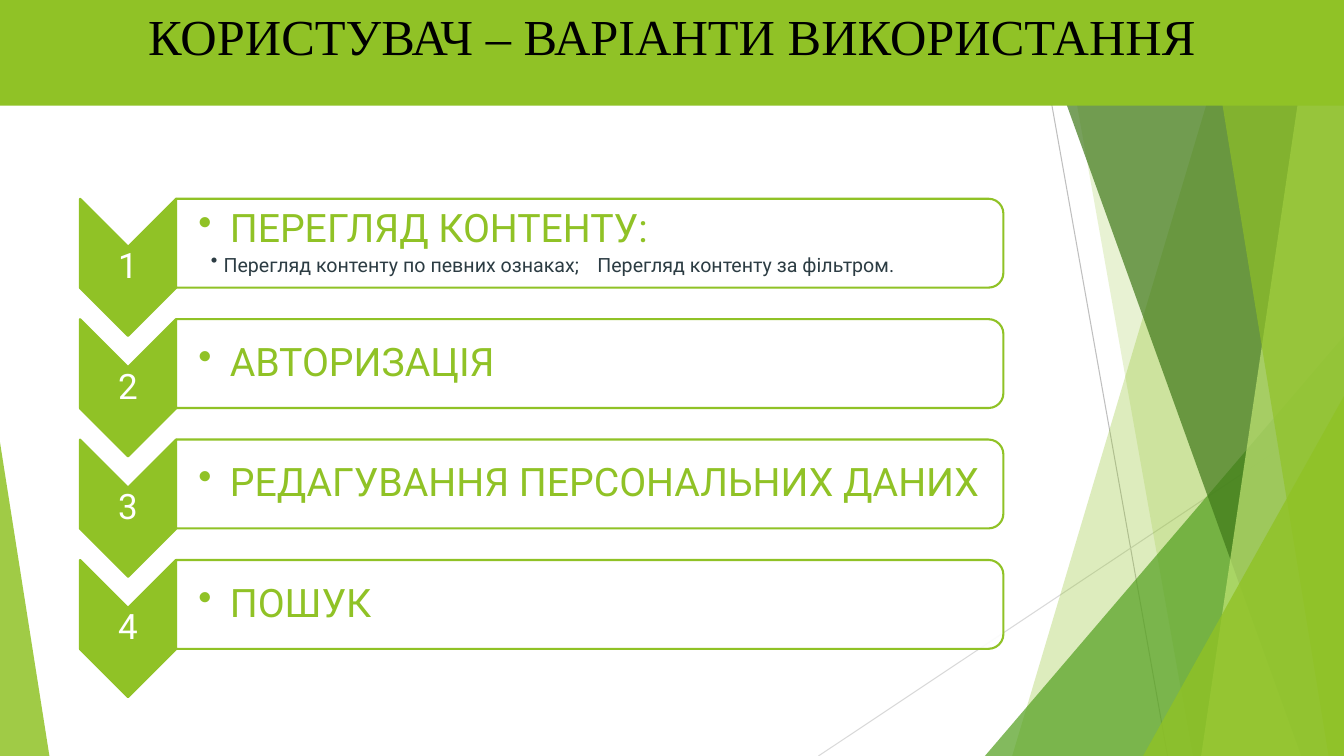
import pptx
import pptx.util
import pptx.dml.color
import pptx.enum.shapes
import pptx.enum.text
import pptx.oxml
import pptx.oxml.ns

Pt = pptx.util.Pt
RGB = pptx.dml.color.RGBColor
SHAPE = pptx.enum.shapes.MSO_SHAPE
ALIGN = pptx.enum.text.PP_ALIGN
ANCHOR = pptx.enum.text.MSO_ANCHOR
qn = pptx.oxml.ns.qn

GREEN = RGB(0x90, 0xC2, 0x26)
LEAF = RGB(0x54, 0xA0, 0x21)
FOREST = RGB(0x3F, 0x78, 0x19)
LIME = RGB(0xC0, 0xE4, 0x74)
SLATE = RGB(0x2C, 0x3C, 0x43)
GREY = RGB(0xBF, 0xBF, 0xBF)
PALE_GREY = RGB(0xD9, 0xD9, 0xD9)
WHITE = RGB(0xFF, 0xFF, 0xFF)
BLACK = RGB(0, 0, 0)

WIDTH, HEIGHT = 960, 540


class Deck:
    """Holds the style and the current slide; all lengths are in points."""
    font = "Roboto"

    def __init__(self):
        self.prs = pptx.Presentation()
        self.prs.slide_width, self.prs.slide_height = Pt(WIDTH), Pt(HEIGHT)
        self.s = self.prs.slides.add_slide(self.prs.slide_layouts[6])

    def paint(self, sp, fill, alpha=100, line=None):
        sp.shadow.inherit = False
        sp.fill.solid()
        sp.fill.fore_color.rgb = fill
        if alpha < 100:
            clr = sp.fill._xPr.find(qn("a:solidFill"))[0]
            clr.makeelement(qn("a:alpha"), {})
            a = pptx.oxml.parse_xml(
                '<a:alpha xmlns:a="http://schemas.openxmlformats.org/drawingml/2006/main"'
                f' val="{alpha * 1000}"/>')
            clr.append(a)
        if line is None:
            sp.line.fill.background()
        else:
            sp.line.color.rgb = line
            sp.line.width = Pt(1.5)
        return sp

    def shape(self, kind, x, y, w, h, fill, alpha=100, line=None, adj=None):
        sp = self.s.shapes.add_shape(kind, Pt(x), Pt(y), Pt(w), Pt(h))
        if adj is not None:
            sp.adjustments[0] = adj
        return self.paint(sp, fill, alpha, line)

    def turned(self, kind, x, y, w, h, fill, alpha=100, line=None):
        """Shape rotated by 90 degrees that covers the box x, y, w, h."""
        d = (w - h) / 2
        sp = self.shape(kind, x + d, y - d, h, w, fill, alpha, line)
        sp.rotation = 90
        return sp

    def polygon(self, points, fill, alpha):
        pts = [(Pt(x), Pt(y)) for x, y in points]
        fb = self.s.shapes.build_freeform(*pts[0])
        fb.add_line_segments(pts[1:], close=True)
        return self.paint(fb.convert_to_shape(), fill, alpha)

    def line(self, x1, y1, x2, y2, color):
        c = self.s.shapes.add_connector(
            pptx.enum.shapes.MSO_CONNECTOR.STRAIGHT, Pt(x1), Pt(y1), Pt(x2), Pt(y2))
        c.line.color.rgb = color
        c.line.width = Pt(0.75)
        pr = c._element.spPr
        pr.append(pr.makeelement(qn("a:effectLst"), {}))

    def text(self, x, y, w, h, left=1.5):
        tf = self.s.shapes.add_textbox(Pt(x), Pt(y), Pt(w), Pt(h)).text_frame
        tf.word_wrap = True
        tf.vertical_anchor = ANCHOR.MIDDLE
        tf.margin_left = Pt(left)
        tf.margin_top = tf.margin_right = tf.margin_bottom = Pt(1.5)
        return tf

    def run(self, p, text, size, color, font=None):
        r = p.add_run()
        r.text = text
        r.font.size, r.font.name = Pt(size), font or self.font
        r.font.color.rgb = color

    def bullet(self, p, margin, hang, tab=None):
        p.line_spacing = 0.9
        pr = p._p.get_or_add_pPr()
        pr.set("marL", str(Pt(margin)))
        pr.set("indent", str(-Pt(hang)))
        pr.append(pr.makeelement(qn("a:buChar"), {"char": "•"}))
        if tab:
            tabs = pr.makeelement(qn("a:tabLst"), {})
            tabs.append(tabs.makeelement(qn("a:tab"), {"pos": str(Pt(tab)), "algn": "l"}))
            pr.append(tabs)


def main():
    d = Deck()

    # Background lines and translucent facets
    d.line(738, 0, 834, HEIGHT, GREY)
    d.line(WIDTH, 290, 584.6, HEIGHT, PALE_GREY)

    def facet(top, bottom, fill, alpha):
        d.polygon([(top, 0), (WIDTH, 0), (WIDTH, HEIGHT), (bottom, HEIGHT)], fill, alpha)

    def corner(x, w, h, fill, alpha, apex):
        d.shape(SHAPE.ISOSCELES_TRIANGLE, x, HEIGHT - h, w, h, fill, alpha, adj=apex)

    facet(884, 723, GREEN, 30)
    facet(756, 852, GREEN, 20)
    corner(703.5, 256.5, 300, LEAF, 72, 1)
    facet(735, 929.5, FOREST, 70)
    facet(938, 858, LIME, 70)
    facet(861, 949, GREEN, 65)
    corner(816.5, 143.5, 257, GREEN, 80, 1)
    corner(0, 35.3, 224, GREEN, 85, 0)

    # Title band
    tf = d.shape(SHAPE.RECTANGLE, 0, 0, WIDTH, 75.5, GREEN).text_frame
    tf.word_wrap = True
    tf.vertical_anchor = ANCHOR.TOP
    p = tf.paragraphs[0]
    p.alignment = ALIGN.CENTER
    d.run(p, "КОРИСТУВАЧ – ВАРІАНТИ ВИКОРИСТАННЯ", 36, BLACK, "Times New Roman")

    # Numbered use cases
    cases = [
        ("ПЕРЕГЛЯД КОНТЕНТУ:",
         ["Перегляд контенту по певних ознаках;", "Перегляд контенту за фільтром."]),
        ("АВТОРИЗАЦІЯ", []),
        ("РЕДАГУВАННЯ ПЕРСОНАЛЬНИХ ДАНИХ", []),
        ("ПОШУК", []),
    ]
    left, top, pitch = 57.2, 142, 86
    chevron_w, chevron_h, box_w, box_h = 68.5, 98, 591, 63.5
    for i, (name, details) in enumerate(cases):
        y = top + i * pitch
        d.turned(SHAPE.CHEVRON, left, y, chevron_w, chevron_h, GREEN, line=GREEN)
        p = d.text(left, y + 34.25, chevron_w, 29.5).paragraphs[0]
        p.alignment = ALIGN.CENTER
        p.line_spacing = 0.9
        d.run(p, str(i + 1), 25, WHITE)

        box_x = left + chevron_w
        d.turned(SHAPE.ROUND_2_SAME_RECTANGLE, box_x, y, box_w, box_h, WHITE, 90, GREEN)
        tf = d.text(box_x, y + 3, box_w - 3, box_h - 6, left=16)
        p = tf.paragraphs[0]
        d.bullet(p, 22.5, 22.5)
        d.run(p, name, 28, GREEN)
        if details:
            p = tf.add_paragraph()
            d.bullet(p, 18, 9, tab=285)
            d.run(p, details[0], 14, SLATE)
            d.run(p, "\t", 18, SLATE)
            d.run(p, details[1], 14, SLATE)

    d.prs.save("out.pptx")


if __name__ == "__main__":
    main()
